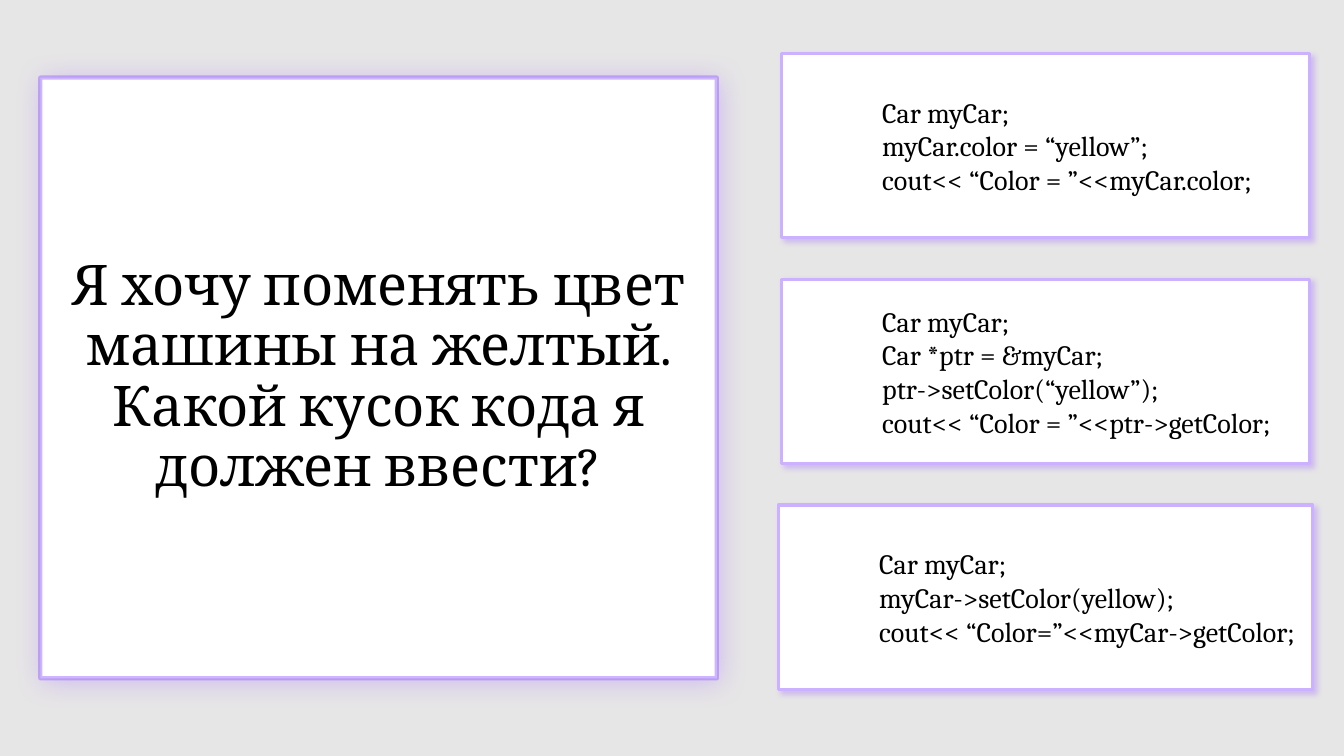
import pptx
import pptx.dml.color
import pptx.enum.shapes
import pptx.enum.text
import pptx.oxml.ns
import pptx.util
from lxml import etree

QUESTION = "Я хочу поменять цвет машины на желтый. Какой кусок кода я должен ввести?"
ANSWERS = [
    ["Car myCar;", "myCar.color = “yellow”;", "cout<< “Color = ”<<myCar.color;"],
    ["Car myCar;", "Car *ptr = &myCar;", "ptr->setColor(“yellow”);",
     "cout<< “Color = ”<<ptr->getColor;"],
    ["Car myCar;", "myCar->setColor(yellow);", "cout<< “Color=”<<myCar->getColor;"],
]
FONT = "Cambria"
BACKGROUND, PAPER, INK = "E7E6E6", "FFFFFF", "000000"
VIOLET, LILAC = "9966FF", "CBB1FF"

SLIDE_WIDTH, SLIDE_HEIGHT = 13.33, 7.5
QUESTION_BOX = (0.4, 0.77, 6.71, 5.96)
ANSWER_CENTER, ANSWER_TOP, ANSWER_STEP = 10.37, 0.53, 2.24
ANSWER_WIDTHS, ANSWER_HEIGHT = (5.24, 5.24, 5.3), 1.83
CODE_INDENT = 1


def color(hex_code):
    return pptx.dml.color.RGBColor.from_string(hex_code)


def add_alpha(color_element, percent):
    alpha = etree.SubElement(color_element, pptx.oxml.ns.qn("a:alpha"))
    alpha.set("val", str(percent * 1000))


def add_shadow(box, opacity, blur):
    """Cast a violet shadow 3 pt towards the lower right; blur is in points."""
    box.shadow.inherit = False
    effects = box.element.spPr.find(pptx.oxml.ns.qn("a:effectLst"))
    shadow = etree.SubElement(effects, pptx.oxml.ns.qn("a:outerShdw"))
    settings = {"blurRad": pptx.util.Pt(blur), "dist": pptx.util.Pt(3),
                "dir": 45 * 60000, "algn": "tl", "rotWithShape": 0}
    for name, value in settings.items():
        shadow.set(name, str(value))
    tint = etree.SubElement(shadow, pptx.oxml.ns.qn("a:srgbClr"), val=VIOLET)
    add_alpha(tint, opacity)


def add_card(slide, place, lines, size, border, border_width):
    box = slide.shapes.add_shape(
        pptx.enum.shapes.MSO_SHAPE.RECTANGLE, *map(pptx.util.Inches, place))
    box.fill.solid()
    box.fill.fore_color.rgb = color(PAPER)
    box.line.color.rgb = color(border)
    box.line.width = pptx.util.Pt(border_width)
    frame = box.text_frame
    frame.word_wrap = True
    frame.vertical_anchor = pptx.enum.text.MSO_ANCHOR.MIDDLE
    frame.text = "\n".join(lines)
    for para in frame.paragraphs:
        para.alignment = pptx.enum.text.PP_ALIGN.LEFT
        for span in para.runs:
            span.font.name = FONT
            span.font.size = pptx.util.Pt(size)
            span.font.color.rgb = color(INK)
    return box


def add_question(slide):
    box = add_card(slide, QUESTION_BOX, [QUESTION], 40, VIOLET, 3)
    add_alpha(box.line.fill._xPr.find(".//" + pptx.oxml.ns.qn("a:srgbClr")), 47)
    add_shadow(box, 34, 20)
    para = box.text_frame.paragraphs[0]
    para.alignment = pptx.enum.text.PP_ALIGN.CENTER
    para.line_spacing = 0.9


def add_answers(slide):
    for row, (lines, width) in enumerate(zip(ANSWERS, ANSWER_WIDTHS)):
        place = (ANSWER_CENTER - width / 2, ANSWER_TOP + row * ANSWER_STEP,
                 width, ANSWER_HEIGHT)
        box = add_card(slide, place, lines, 20, LILAC, 2.25)
        add_shadow(box, 32, 4)
        frame = box.text_frame
        frame.margin_left = pptx.util.Inches(CODE_INDENT)
        frame.margin_top = frame.margin_right = frame.margin_bottom = 0


def main():
    deck = pptx.Presentation()
    deck.slide_width = pptx.util.Inches(SLIDE_WIDTH)
    deck.slide_height = pptx.util.Inches(SLIDE_HEIGHT)
    slide = deck.slides.add_slide(deck.slide_layouts[6])
    slide.background.fill.solid()
    slide.background.fill.fore_color.rgb = color(BACKGROUND)
    add_answers(slide)
    add_question(slide)
    deck.save("out.pptx")


if __name__ == "__main__":
    main()
